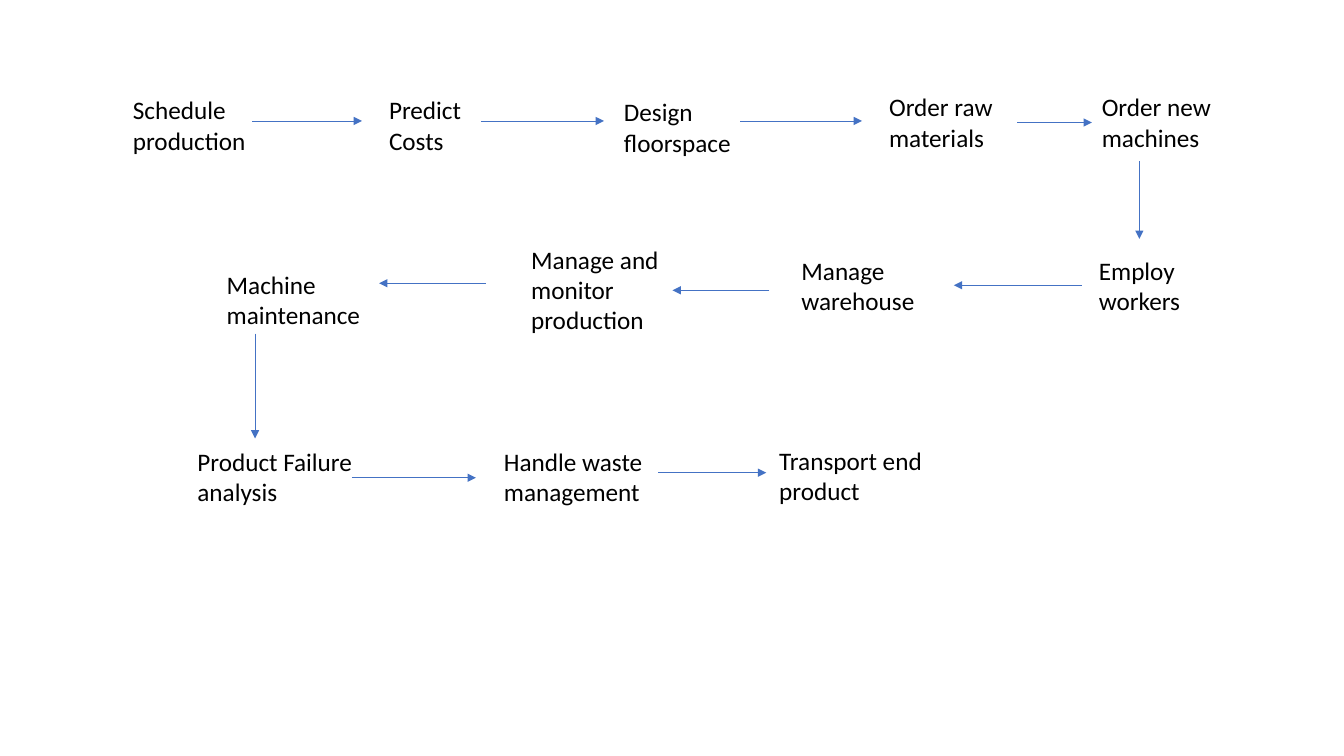
from lxml import etree
from pptx import Presentation
from pptx.dml.color import RGBColor
from pptx.enum.shapes import MSO_CONNECTOR as Connector
from pptx.enum.text import MSO_AUTO_SIZE as AutoSize
from pptx.oxml.ns import qn
from pptx.util import Inches, Pt

COLORS = {"text": "000000", "arrow": "4472C4"}
LINE_HEIGHT = 0.3
PADDING = 0.11

# Step: left, top, width, number of lines
STEPS = {
    "Schedule production": (1.22, 0.89, 1.7, 2),
    "Predict Costs": (3.76, 0.89, 1.22, 2),
    "Design floorspace": (6.09, 0.91, 1.44, 2),
    "Order raw materials": (8.72, 0.86, 1.37, 2),
    "Order new machines": (10.83, 0.86, 1.5, 2),
    "Employ workers": (10.8, 2.48, 1.32, 2),
    "Manage warehouse": (7.85, 2.48, 1.39, 2),
    "Manage and monitor production": (5.17, 2.37, 1.7, 3),
    "Machine maintenance": (2.15, 2.62, 1.6, 2),
    "Product Failure analysis": (1.86, 4.38, 1.96, 2),
    "Handle waste management": (4.9, 4.38, 1.7, 2),
    "Transport end product": (7.63, 4.37, 1.89, 2),
}

# Arrows from each step to the next: start x, start y, end x, end y
ARROWS = [
    (2.5, 1.2, 3.59, 1.2),
    (4.77, 1.2, 5.99, 1.2),
    (7.34, 1.2, 8.55, 1.2),
    (10.1, 1.22, 10.8, 1.22),
    (11.3, 1.6, 11.3, 2.37),
    (10.73, 2.83, 9.46, 2.83),
    (7.63, 2.88, 6.67, 2.88),
    (4.82, 2.81, 3.76, 2.81),
    (2.53, 3.31, 2.53, 4.35),
    (3.49, 4.74, 4.72, 4.74),
    (6.53, 4.69, 7.6, 4.69),
]

prs = Presentation()
prs.slide_width, prs.slide_height = Inches(13.33), Inches(7.5)
slide = prs.slides.add_slide(prs.slide_layouts[6])

steps = {}
for label, (left, top, width, lines) in STEPS.items():
    height = lines * LINE_HEIGHT + PADDING
    step = slide.shapes.add_textbox(*map(Inches, (left, top, width, height)))
    frame = step.text_frame
    frame.word_wrap = True
    frame.auto_size = AutoSize.SHAPE_TO_FIT_TEXT
    frame.text = label
    font = frame.paragraphs[0].runs[0].font
    font.name, font.size = "Calibri", Pt(18)
    font.color.rgb = RGBColor.from_string(COLORS["text"])
    steps[label] = step

arrows = []
for ends in ARROWS:
    arrow = slide.shapes.add_connector(Connector.STRAIGHT, *map(Inches, ends))
    arrow.line.color.rgb = RGBColor.from_string(COLORS["arrow"])
    arrow.line.width = Pt(0.5)
    etree.SubElement(arrow.line._get_or_add_ln(), qn("a:tailEnd"), type="triangle")
    etree.SubElement(arrow._element.spPr, qn("a:effectLst"))
    arrows.append(arrow)

# Only the arrow between the two orders meets both side middles
arrows[3].begin_connect(steps["Order raw materials"], 3)
arrows[3].end_connect(steps["Order new machines"], 1)

prs.save("out.pptx")
